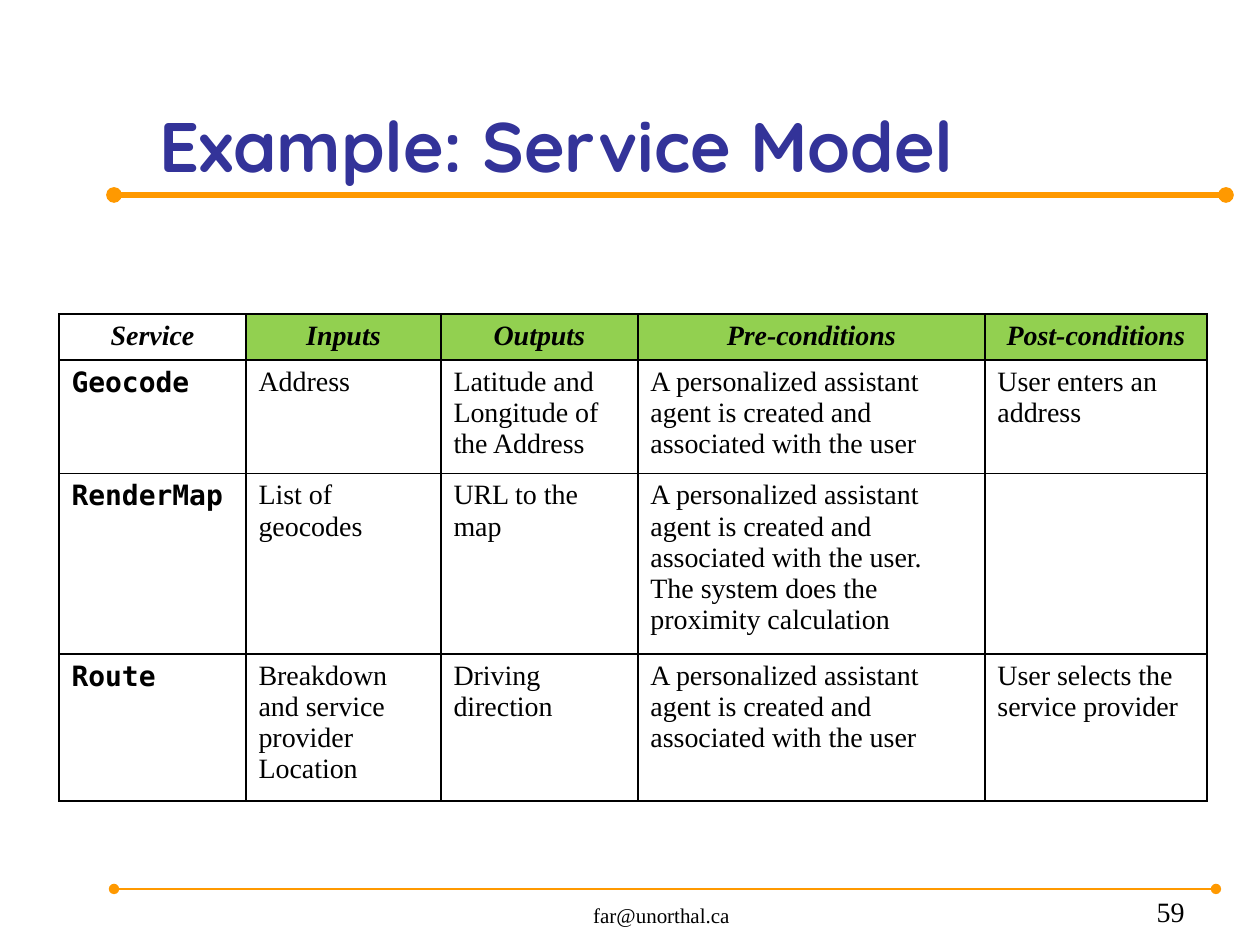
from lxml.etree import SubElement
from pptx import Presentation
from pptx.dml.color import RGBColor
from pptx.enum.shapes import MSO_CONNECTOR
from pptx.enum.text import MSO_ANCHOR, PP_ALIGN
from pptx.oxml.ns import qn
from pptx.util import Pt

PX = 914400 // 126
COLORS = {"black": "000000", "white": "FFFFFF", "orange": "FF9900",
          "blue": "333399", "green": "92D050"}
SERIF, MONO, ROUNDED = "Times New Roman", "DejaVu Sans Mono", "Quicksand"

# start x, end x, y, width in points
RULES = [(114, 1226, 195, 3), (114, 1216, 889, 1.5)]

# text, left, top, width, height, alignment, font format, colour
LABELS = [
    ("Example: Service Model", 147, 35, 1085, 158, PP_ALIGN.LEFT,
     {"name": ROUNDED, "size": Pt(40), "bold": True}, "blue"),
    ("far@unorthal.ca", 462, 879, 399, 55, PP_ALIGN.CENTER,
     {"name": SERIF, "size": Pt(12)}, "black"),
    ("59", 935, 879, 262, 55, PP_ALIGN.RIGHT,
     {"name": SERIF, "size": Pt(16)}, "black"),
]

HEADINGS = ["Service", "Inputs", "Outputs", "Pre-conditions", "Post-conditions"]
ASSISTANT = ["A personalized assistant", "agent is created and"]
SERVICES = [
    [["Geocode"], ["Address"], ["Latitude and", "Longitude of", "the Address"],
     ASSISTANT + ["associated with the user"], ["User enters an", "address"]],
    [["RenderMap"], ["List of", "geocodes"], ["URL to the", "map"],
     ASSISTANT + ["associated with the user.", "The system does the",
                  "proximity calculation"], []],
    [["Route"], ["Breakdown", "and service", "provider", "Location"],
     ["Driving", "direction"], ASSISTANT + ["associated with the user"],
     ["User selects the", "service provider"]],
]
TABLE_LEFT, TABLE_TOP = 59, 314
COLUMN_WIDTHS = [187, 195, 197, 347, 222]
ROW_HEIGHTS = [43, 106, 168, 137]
HANGING_INDENT = 48

HEADING_FORMAT = {"name": SERIF, "size": Pt(16), "bold": True, "italic": True}
NAME_FORMAT = {"name": MONO, "size": Pt(16), "bold": True, "italic": False}
BODY_FORMAT = {"name": SERIF, "size": Pt(16), "bold": False, "italic": False}


def rgb(color):
    return RGBColor.from_string(COLORS[color])


def write(para, text, alignment, font_format, color):
    para.alignment = alignment
    span = para.add_run()
    span.text = text
    for name, value in font_format.items():
        setattr(span.font, name, value)
    span.font.color.rgb = rgb(color)


def add_rule(page, start, end, y, width):
    """Draw a horizontal line with a dot at each end."""
    rule = page.shapes.add_connector(
        MSO_CONNECTOR.STRAIGHT, start * PX, y * PX, end * PX, y * PX)
    rule.line.color.rgb = rgb("orange")
    rule.line.width = Pt(width)
    properties = rule._element.spPr
    line = properties.find(qn("a:ln"))
    for tag in ("a:headEnd", "a:tailEnd"):
        SubElement(line, qn(tag), type="oval")
    SubElement(properties, qn("a:effectLst"))


def add_label(page, text, left, top, width, height, *text_style):
    box = page.shapes.add_textbox(left * PX, top * PX, width * PX, height * PX)
    box.text_frame.word_wrap = True
    box.text_frame.vertical_anchor = MSO_ANCHOR.BOTTOM
    write(box.text_frame.paragraphs[0], text, *text_style)


def add_borders(cell):
    properties = cell._tc.get_or_add_tcPr()
    for tag in ("a:lnL", "a:lnR", "a:lnT", "a:lnB"):
        line = SubElement(properties, qn(tag), w=str(Pt(1)))
        fill = SubElement(line, qn("a:solidFill"))
        SubElement(fill, qn("a:srgbClr"), val=COLORS["black"])


def fill_cell(cell, lines, alignment, font_format, background):
    add_borders(cell)
    cell.fill.solid()
    cell.fill.fore_color.rgb = rgb(background)
    for number, text in enumerate(lines):
        frame = cell.text_frame
        para = frame.add_paragraph() if number else frame.paragraphs[0]
        write(para, text, alignment, font_format, "black")
        indents = para._p.get_or_add_pPr()
        indents.set("marL", str(HANGING_INDENT * PX))
        indents.set("indent", str(-HANGING_INDENT * PX))


def add_service_table(page):
    rows = [[[heading] for heading in HEADINGS]] + SERVICES
    table = page.shapes.add_table(
        len(rows), len(HEADINGS), TABLE_LEFT * PX, TABLE_TOP * PX,
        sum(COLUMN_WIDTHS) * PX, sum(ROW_HEIGHTS) * PX).table
    table.first_row = table.horz_banding = False
    for column, width in zip(table.columns, COLUMN_WIDTHS):
        column.width = width * PX
    for row, height in zip(table.rows, ROW_HEIGHTS):
        row.height = height * PX
    for r, row in enumerate(rows):
        for c, lines in enumerate(row):
            if r == 0:
                style = (PP_ALIGN.CENTER, HEADING_FORMAT, "green" if c else "white")
            else:
                style = (PP_ALIGN.LEFT, BODY_FORMAT if c else NAME_FORMAT, "white")
            fill_cell(table.cell(r, c), lines, *style)


def main():
    deck = Presentation()
    deck.slide_width, deck.slide_height = 1260 * PX, 945 * PX
    page = deck.slides.add_slide(deck.slide_layouts[6])
    for rule in RULES:
        add_rule(page, *rule)
    for label in LABELS:
        add_label(page, *label)
    add_service_table(page)
    deck.save("out.pptx")


if __name__ == "__main__":
    main()
